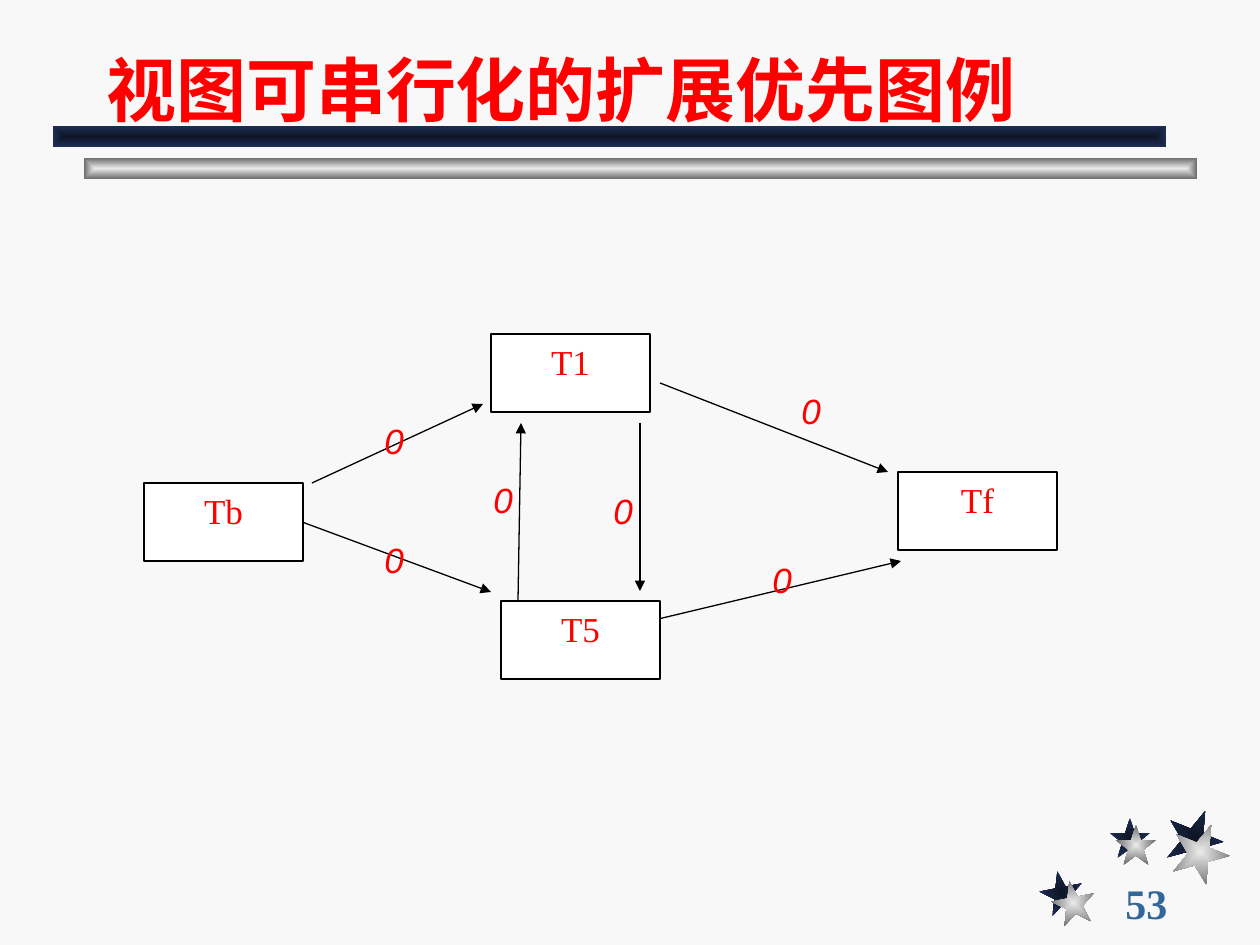
from lxml.etree import SubElement
from pptx import Presentation
from pptx.dml.color import RGBColor
from pptx.enum.shapes import MSO_CONNECTOR as Link, MSO_SHAPE as Form
from pptx.enum.text import MSO_ANCHOR as Anchor, MSO_AUTO_SIZE as Fit, PP_ALIGN as Align
from pptx.oxml.ns import qn
from pptx.util import Emu, Inches, Pt

SCALE = Inches(1) / 126
HUES = {
    "back": "F8F8F8", "white": "FFFFFF", "black": "000000",
    "red": "FF0000", "blue": "336699",
}
BLENDS = {"navy": ("0E1526", "1E2E53"), "silver": ("EAEAEA", "6C6C6C")}


def px(*sizes):
    return [Emu(round(size * SCALE)) for size in sizes]


def hue(name):
    return RGBColor.from_string(HUES[name])


class Painter:
    serif = "Times New Roman"
    sans = "Arial"

    def __init__(self, slide):
        self.slide = slide
        self.shapes = slide.shapes
        slide.background.fill.solid()
        slide.background.fill.fore_color.rgb = hue("back")

    def letter(self, frame, text, size, face, color, align=Align.LEFT,
               bold=False, italic=False):
        para = frame.paragraphs[0]
        para.text = text
        para.alignment = align
        font = para.font
        font.name, font.size = face, Pt(size)
        font.bold, font.italic = bold, italic
        font.color.rgb = hue(color)

    def text(self, area, text, size, face, color, anchor=Anchor.TOP,
             wrap=False, fit=Fit.NONE, **look):
        frame = self.shapes.add_textbox(*px(*area)).text_frame
        frame.word_wrap = wrap
        frame.auto_size = fit
        frame.vertical_anchor = anchor
        self.letter(frame, text, size, face, color, **look)

    def label(self, x, y):
        self.text((x, y, 44, 55), "0", 20, self.sans, "red",
                  fit=Fit.SHAPE_TO_FIT_TEXT, align=Align.CENTER, italic=True)

    def node(self, text, x, y):
        box = self.shapes.add_shape(Form.RECTANGLE, *px(x, y, 159, 78))
        box.shadow.inherit = False
        box.fill.solid()
        box.fill.fore_color.rgb = hue("white")
        box.line.color.rgb = hue("black")
        box.line.width = Pt(0.75)
        box.text_frame.vertical_anchor = Anchor.TOP
        self.letter(box.text_frame, text, 20, self.serif, "red", Align.CENTER)

    def glow(self, form, area, blend, turn=0):
        """Add a borderless shape shaded from its centre outwards."""
        shape = self.shapes.add_shape(form, *px(*area))
        shape.shadow.inherit = False
        shape.rotation = turn
        shape.line.fill.background()
        shape.fill.gradient()
        for stop, code in zip(shape.fill.gradient_stops, BLENDS[blend]):
            stop.color.rgb = RGBColor.from_string(code)
        grad = shape._element.spPr.find(qn("a:gradFill"))
        grad.remove(grad.find(qn("a:lin")))
        route = SubElement(grad, qn("a:path"), {"path": "rect"})
        SubElement(route, qn("a:fillToRect"), dict.fromkeys("ltrb", "50000"))

    def arrow(self, *ends):
        link = self.shapes.add_connector(Link.STRAIGHT, *px(*ends))
        link.line.color.rgb = hue("black")
        link.line.width = Pt(0.75)
        props = link._element.spPr
        SubElement(props.find(qn("a:ln")), qn("a:tailEnd"), {"type": "triangle"})
        SubElement(props, qn("a:effectLst"))


def main():
    deck = Presentation()
    deck.slide_width, deck.slide_height = Inches(10), Inches(7.5)
    art = Painter(deck.slides.add_slide(deck.slide_layouts[6]))

    # Corner stars: side and turn, then the place of each layer
    stars = [
        (43, 349, {"navy": (1040, 871), "silver": (1052, 881)}),
        (40, 0, {"navy": (1110, 818), "silver": (1116, 825)}),
        (57, 22, {"navy": (1166, 809), "silver": (1172, 823)}),
    ]
    for blend in BLENDS:
        for side, turn, spots in stars:
            art.glow(Form.STAR_5_POINT, (*spots[blend], side, side), blend, turn)

    # Bars under the title
    art.glow(Form.RECTANGLE, (84, 158, 1113, 21), "silver")
    art.glow(Form.RECTANGLE, (53, 126, 1113, 21), "navy")

    # Page number and title
    art.text((1113, 882, 136, 42), "53", 24, art.serif, "blue",
             anchor=Anchor.MIDDLE, bold=True)
    art.text((94, 21, 1071, 116), "视图可串行化的扩展优先图例", 40, art.sans, "red",
             anchor=Anchor.BOTTOM, wrap=True, bold=True)

    # Edges of the graph
    for ends in [
        (312, 483, 483, 404), (640, 423, 640, 591), (650, 621, 901, 561),
        (302, 522, 491, 592), (660, 383, 888, 472), (518, 601, 521, 423),
    ]:
        art.arrow(*ends)

    # Edge labels
    for spot in [(372, 413), (789, 383), (372, 532),
                 (760, 552), (481, 472), (601, 483)]:
        art.label(*spot)

    # Nodes, over the ends of the edges
    for name, x, y in [("Tb", 144, 483), ("Tf", 898, 472),
                       ("T5", 501, 601), ("T1", 491, 334)]:
        art.node(name, x, y)

    deck.save("out.pptx")


if __name__ == "__main__":
    main()
